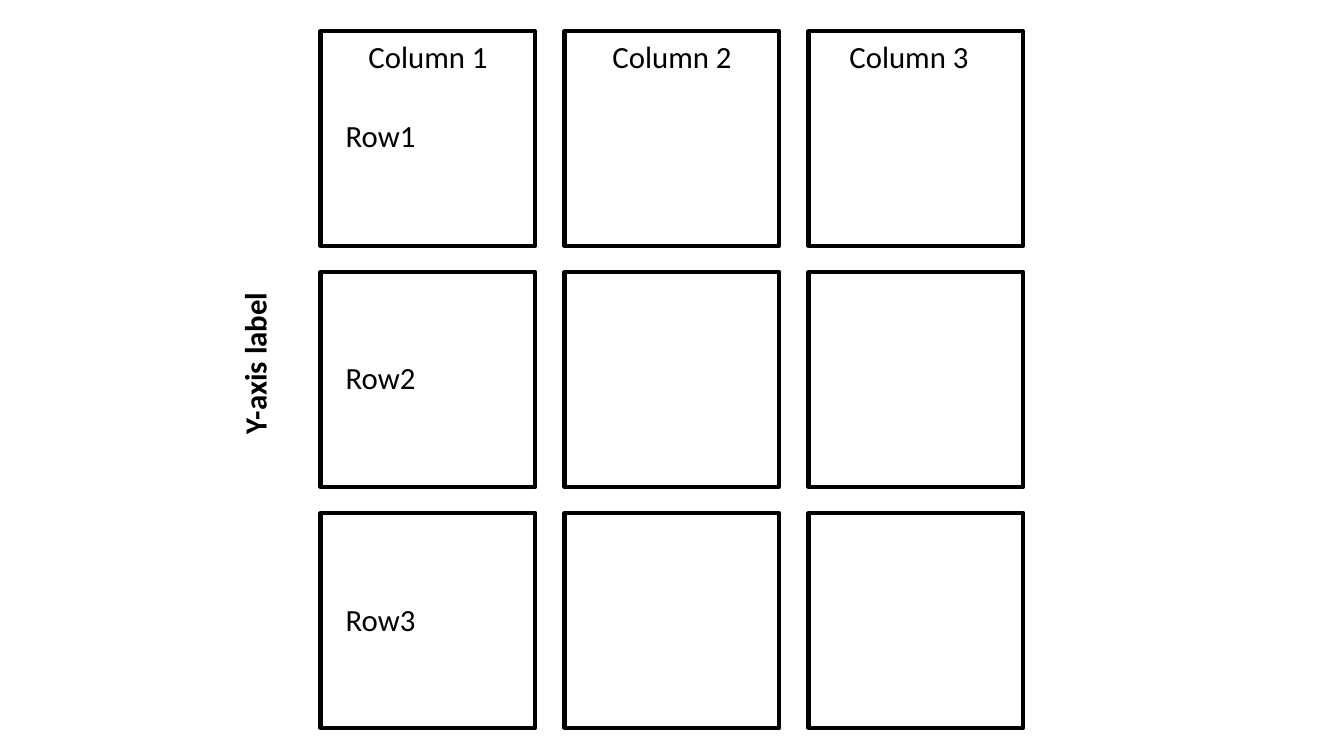
import pptx
import pptx.dml.color
import pptx.enum.shapes
import pptx.enum.text
import pptx.util

PX = 9144  # EMU per px, 100 px to the inch
THEME = {
    "font": "Calibri",
    "text_size": pptx.util.Pt(22),
    "border_width": pptx.util.Pt(3),
    "ink": pptx.dml.color.RGBColor(0x00, 0x00, 0x00),
    "paper": pptx.dml.color.RGBColor(0xFF, 0xFF, 0xFF),
}
ALIGN = pptx.enum.text.PP_ALIGN

presentation = pptx.Presentation()
presentation.slide_width = 1333 * PX
presentation.slide_height = 750 * PX
slide = presentation.slides.add_slide(presentation.slide_layouts[6])


def add_label(text, left, top, width, align=ALIGN.LEFT, bold=False, rotation=0):
    label = slide.shapes.add_textbox(left * PX, top * PX, width * PX, 47 * PX)
    label.rotation = rotation
    label.text_frame.word_wrap = True
    paragraph = label.text_frame.paragraphs[0]
    paragraph.alignment = align
    run = paragraph.add_run()
    run.text = text
    run.font.name = THEME["font"]
    run.font.size = THEME["text_size"]
    run.font.color.rgb = THEME["ink"]
    run.font.bold = bold


# Grid of panels
panel_size = 213
for row in range(3):
    for column in range(3):
        panel = slide.shapes.add_shape(
            pptx.enum.shapes.MSO_SHAPE.RECTANGLE,
            (318 + 242 * column) * PX, (31 + 239 * row) * PX,
            panel_size * PX, panel_size * PX)
        panel.shadow.inherit = False
        panel.fill.solid()
        panel.fill.fore_color.rgb = THEME["paper"]
        panel.line.color.rgb = THEME["ink"]
        panel.line.width = THEME["border_width"]

# Labels
add_label("Y-axis label", 114, 337, 277, align=ALIGN.CENTER, bold=True, rotation=270)
for row in range(3):
    add_label(f"Row{row + 1}", 333, 111 + 240 * row, 105)
for number, left in enumerate((345, 587, 822), start=1):
    add_label(f"Column {number}", left, 33, 159, align=ALIGN.CENTER)

presentation.save("out.pptx")
